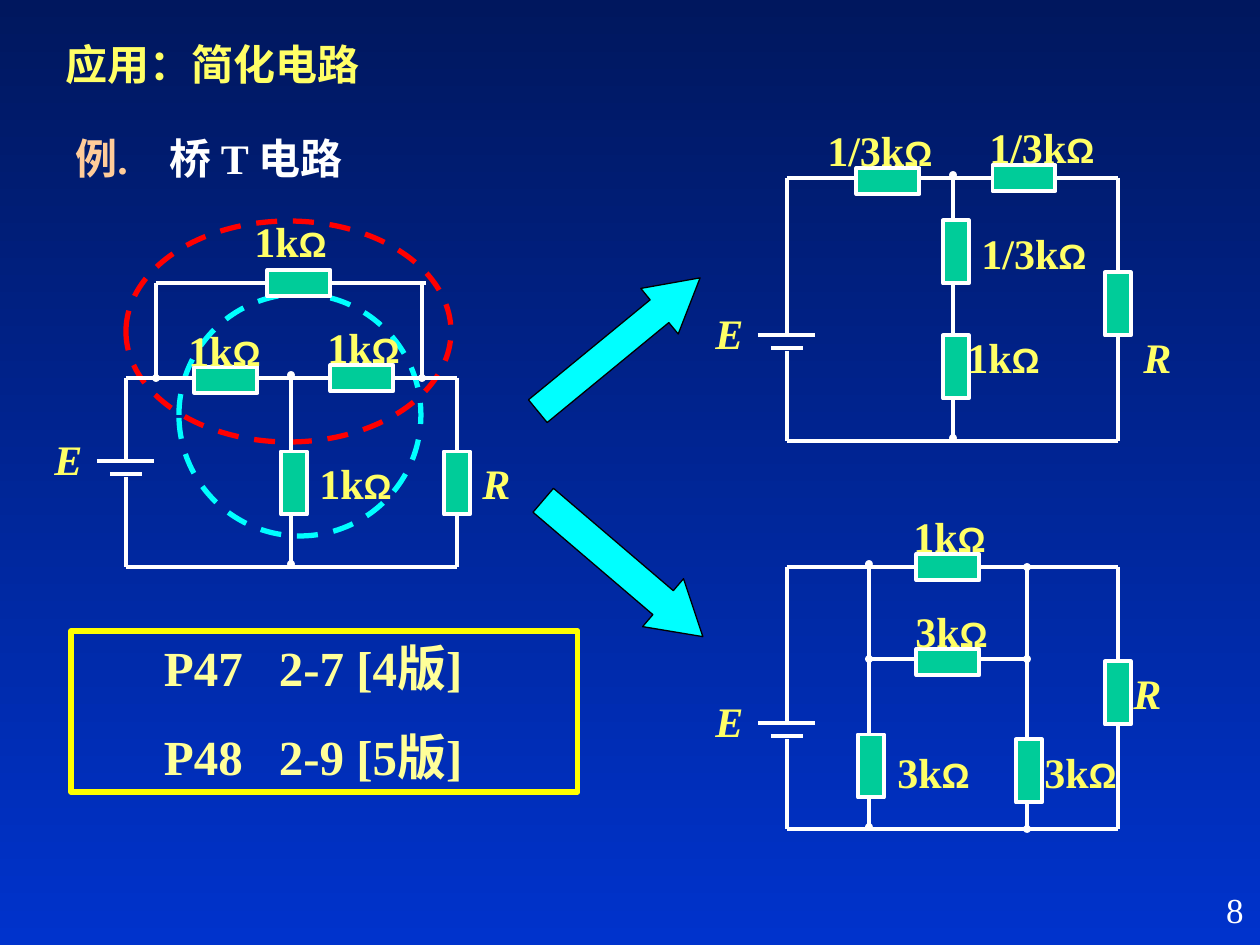
from dataclasses import dataclass

from lxml import etree
from pptx import Presentation
from pptx import util as u
from pptx.dml.color import RGBColor
from pptx.enum import dml, shapes, text
from pptx.oxml.ns import qn

PX = 914400 / 126


@dataclass(frozen=True)
class Theme:
    top: str = "00175E"
    bottom: str = "0033CC"
    white: str = "FFFFFF"
    label: str = "FFFF66"
    example: str = "FFCC99"
    exercise: str = "FFFF99"
    frame: str = "FFFF00"
    resistor: str = "00CC99"
    cyan: str = "00FFFF"
    red: str = "FF0000"
    black: str = "000000"
    serif: str = "Times New Roman"
    sans: str = "Arial"
    exercise_size: int = 28
    body_size: int = 24
    small_size: int = 20
    wire: float = 2.25
    outline: float = 3
    thin: float = 0.75


T = Theme()

LOOP_WIDTH = 331
BATTERY_RISE = 106
RESISTOR = (26, 63)
CIRCUITS = [
    dict(left=126, top=378, bottom=567,
         wires=[(291, 375, 291, 564, "both"), (156, 378, 156, 283, "head"),
                (156, 283, 426, 283, ""), (422, 378, 422, 283, "head")],
         upright=[(294, 483), (457, 483)],
         flat=[(362, 378), (226, 380), (299, 283)],
         values=[(242, 209, "1k"), (176, 318, "1k"), (315, 315, "1k"), (307, 451, "1k")],
         load=(470, 451)),
    dict(left=787, top=178, bottom=441,
         wires=[(953, 175, 953, 438, "both")],
         upright=[(956, 367), (956, 252), (1118, 304)],
         flat=[(1024, 178), (888, 181)],
         values=[(815, 118, "1/3k"), (977, 115, "1/3k"), (955, 325, "1k"), (969, 221, "1/3k")],
         load=(1131, 325)),
    dict(left=787, top=567, bottom=829,
         wires=[(869, 564, 869, 827, "both"), (1027, 567, 1027, 829, "both"),
                (869, 659, 1027, 659, "both")],
         upright=[(1118, 693), (871, 766), (1029, 771)],
         flat=[(948, 567), (948, 662)],
         values=[(901, 504, "1k"), (885, 740, "3k"), (1032, 740, "3k"), (903, 599, "3k")],
         load=(1121, 661)),
]
LOOPS = [((126, 221, 325, 221), T.red), ((179, 294, 242, 242), T.cyan)]
ARROWS = [((514, 315, 210, 59), 320.6, 0.89), ((518, 537, 210, 63), 40.5, 0.83)]
EXERCISES = ["P47\t2-7 [4版]", "P48\t2-9 [5版]"]


def px(*lengths):
    return [u.Emu(round(length * PX)) for length in lengths]


def rgb(color):
    return RGBColor.from_string(color)


def style(run, color=T.label, size=T.body_size, face=T.serif, bold=True, italic=False):
    font = run.font
    font.name, font.size, font.bold, font.italic = face, u.Pt(size), bold, italic
    font.color.rgb = rgb(color)


def add_tab(paragraph, position):
    tabs = etree.SubElement(paragraph._p.get_or_add_pPr(), qn("a:tabLst"))
    etree.SubElement(tabs, qn("a:tab"), pos=str(px(position)[0]), algn="l")


def add_text(slide, box, runs, align=text.PP_ALIGN.LEFT, tab=None):
    frame = slide.shapes.add_textbox(*px(*box)).text_frame
    frame.word_wrap = True
    paragraph = frame.paragraphs[0]
    paragraph.alignment = align
    if tab:
        add_tab(paragraph, tab)
    for words, look in runs:
        run = paragraph.add_run()
        run.text = words
        style(run, **look)


def add_shape(slide, kind, box, fill=None, line=T.white, width=T.wire, rotation=0):
    shape = slide.shapes.add_shape(kind, *px(*box))
    shape.shadow.inherit = False
    shape.rotation = rotation
    if fill:
        shape.fill.solid()
        shape.fill.fore_color.rgb = rgb(fill)
    else:
        shape.fill.background()
    shape.line.color.rgb = rgb(line)
    shape.line.width = u.Pt(width)
    return shape


def add_wire(slide, x1, y1, x2, y2, dots=""):
    wire = slide.shapes.add_connector(shapes.MSO_CONNECTOR.STRAIGHT, *px(x1, y1, x2, y2))
    wire.line.color.rgb = rgb(T.white)
    wire.line.width = u.Pt(T.wire)
    ends = {"": [], "head": ["headEnd"], "both": ["headEnd", "tailEnd"]}[dots]
    for end in ends:
        etree.SubElement(wire.line._get_or_add_ln(), qn(f"a:{end}"), type="oval", w="sm", len="sm")
    etree.SubElement(wire._element.spPr, qn("a:effectLst"))


def add_circuit(slide, left, top, bottom, wires, upright, flat, values, load):
    right, battery = left + LOOP_WIDTH, bottom - BATTERY_RISE
    loop = [
        (left - 29, battery, left + 28, battery),
        (left - 16, battery + 13, left + 16, battery + 13),
        (left, battery + 16, left, bottom),
        (left, battery, left, top),
        (left, top, right, top),
        (left, bottom, right, bottom),
        (right, top, right, bottom),
    ]
    for wire in loop + wires:
        add_wire(slide, *wire)
    width, height = RESISTOR
    for centers, rotation in ((upright, 0), (flat, 270)):
        for x, y in centers:
            add_shape(slide, shapes.MSO_SHAPE.RECTANGLE,
                      (x - width / 2, y - height / 2, width, height),
                      T.resistor, rotation=rotation)
    for x, y, value in values:
        add_text(slide, (x, y, 140 if "/" in value else 126, 63),
                 [(value, {}), ("Ω", dict(face=T.sans, size=T.small_size))])
    add_text(slide, (*load, 44, 63), [("R", dict(italic=True))])
    add_text(slide, (left - 84, battery - 34, 54, 63), [("E", dict(italic=True))])


def add_exercises(slide):
    frame = add_shape(slide, shapes.MSO_SHAPE.RECTANGLE, (71, 631, 507, 161),
                      line=T.frame, width=T.outline).text_frame
    frame.word_wrap = True
    frame.vertical_anchor = text.MSO_ANCHOR.TOP
    frame.margin_left = px(93)[0]
    frame.text = "\n".join(EXERCISES)
    for index, paragraph in enumerate(frame.paragraphs):
        paragraph.alignment = text.PP_ALIGN.LEFT
        if index:
            paragraph.space_before = u.Pt(17.5)
        add_tab(paragraph, 115)
        for run in paragraph.runs:
            style(run, T.exercise, T.exercise_size)


def main():
    deck = Presentation()
    deck.slide_width, deck.slide_height = px(1260, 945)
    slide = deck.slides.add_slide(deck.slide_layouts[6])
    backdrop = slide.background.fill
    backdrop.gradient()
    backdrop.gradient_angle = 270
    for stop, color in zip(backdrop.gradient_stops, (T.top, T.bottom)):
        stop.color.rgb = rgb(color)

    for box, color in LOOPS:
        ring = add_shape(slide, shapes.MSO_SHAPE.OVAL, box, line=color, width=T.outline)
        ring.line.dash_style = dml.MSO_LINE.DASH
    add_text(slide, (53, 32, 325, 63), [("应用：简化电路", {})])
    add_text(slide, (63, 126, 325, 63),
             [("例.\t", dict(color=T.example)), ("桥 T 电路", dict(color=T.white))], tab=94)
    for circuit in CIRCUITS:
        add_circuit(slide, **circuit)
    for box, rotation, head in ARROWS:
        arrow = add_shape(slide, shapes.MSO_SHAPE.RIGHT_ARROW, box,
                          T.cyan, T.black, T.thin, rotation)
        arrow.adjustments[0], arrow.adjustments[1] = 0.5, head
    add_exercises(slide)
    add_text(slide, (994, 882, 262, 63),
             [("8", dict(color=T.white, size=T.small_size, bold=False))], text.PP_ALIGN.RIGHT)
    deck.save("out.pptx")


if __name__ == "__main__":
    main()
